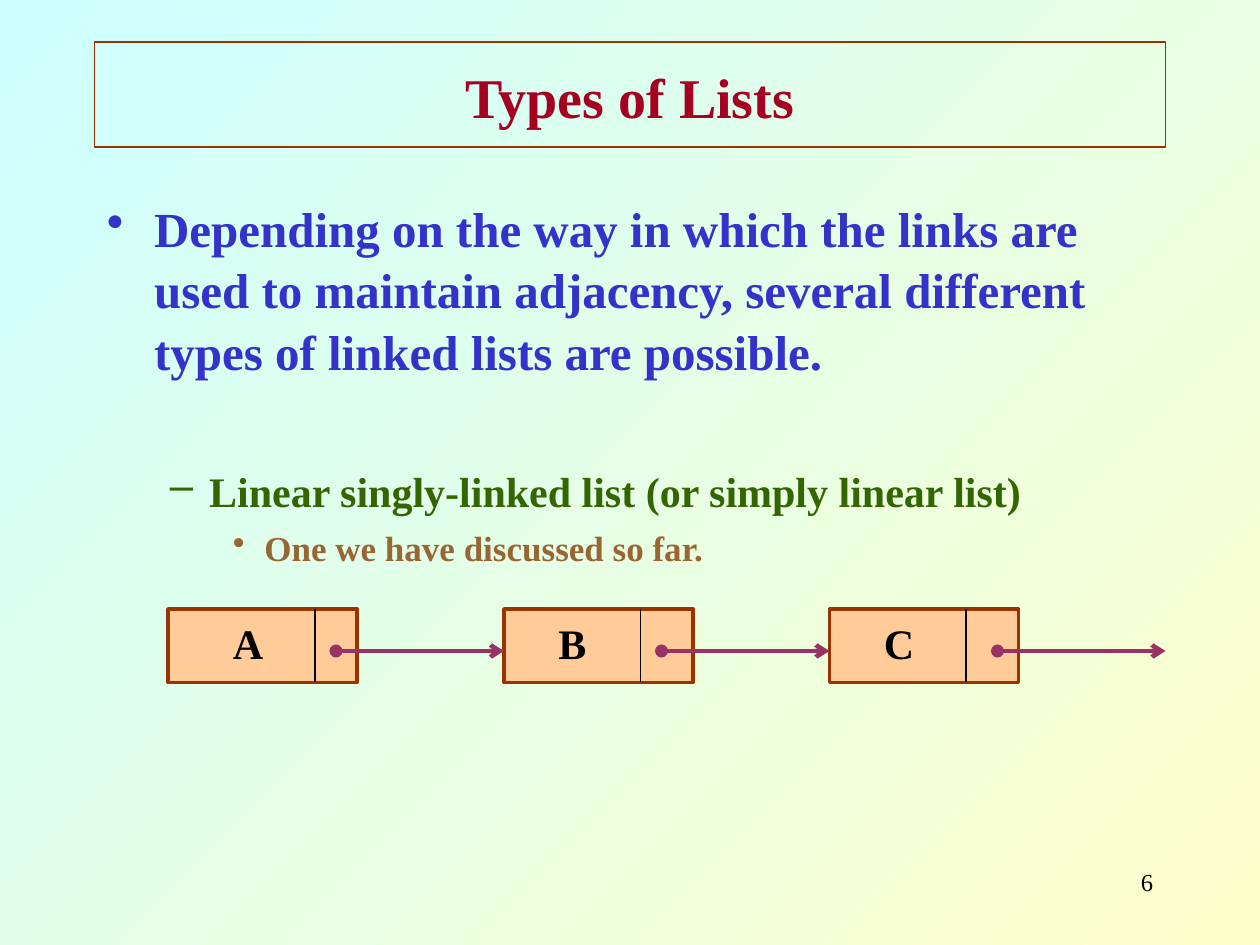
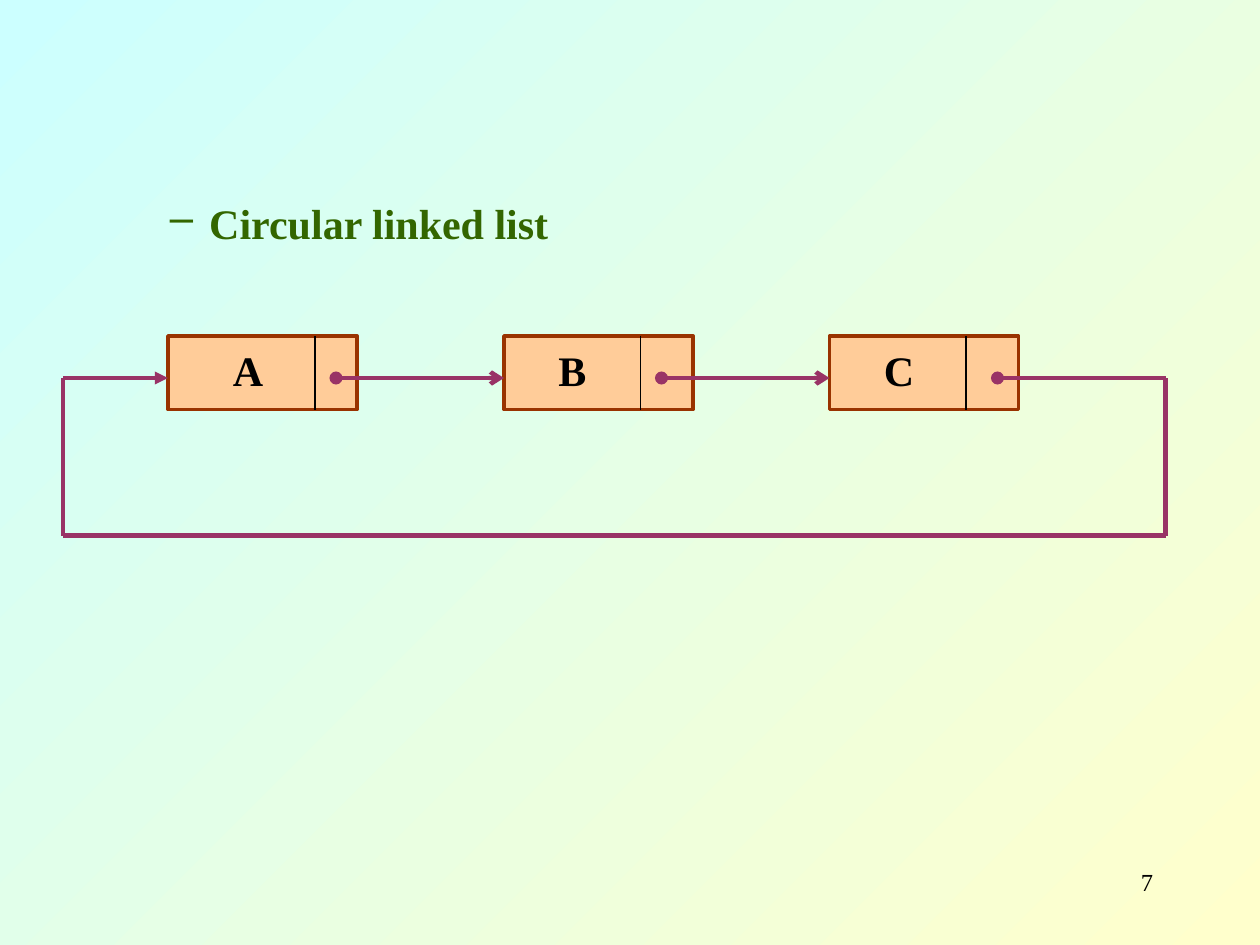
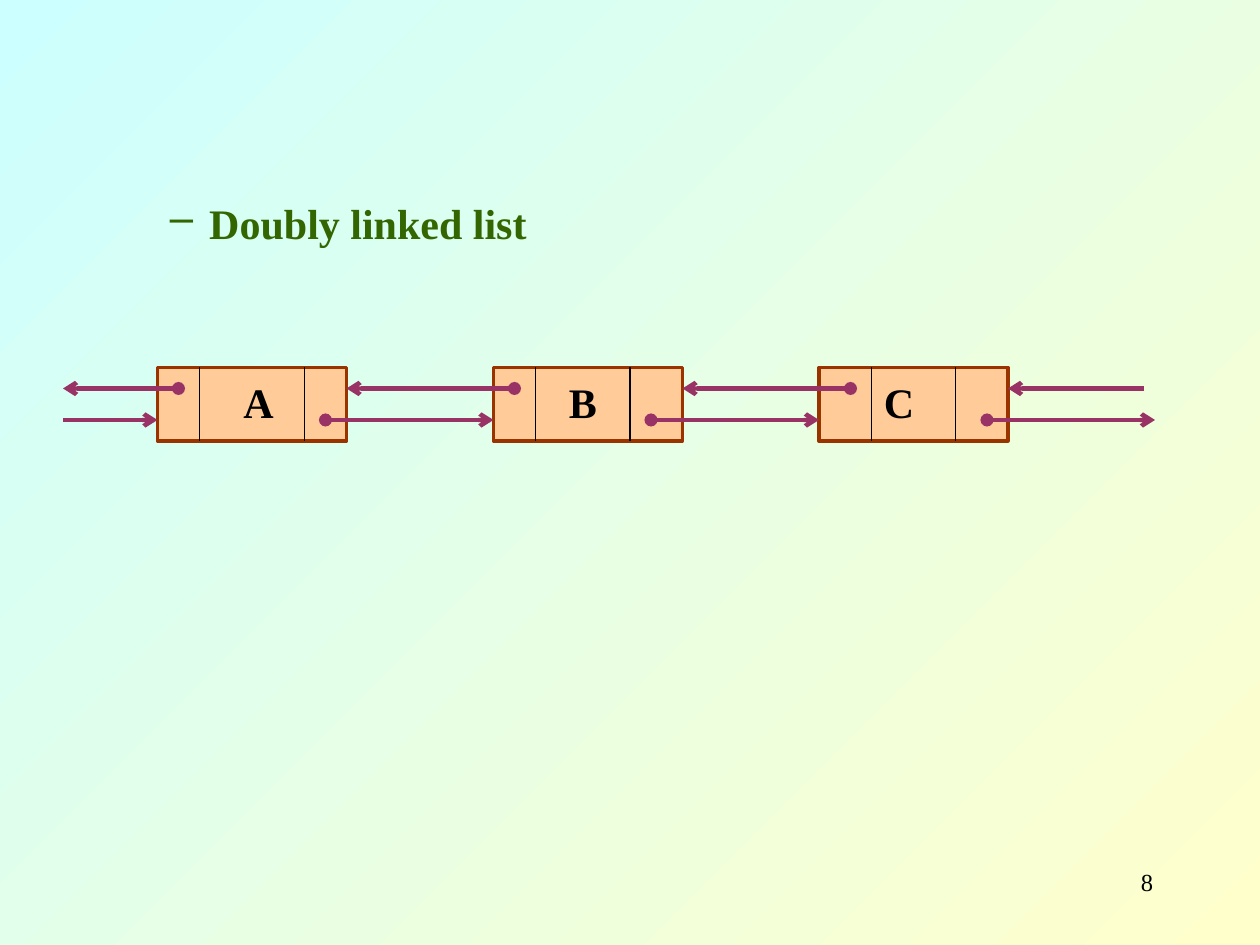
from lxml import etree
from pptx import Presentation
from pptx.dml.color import RGBColor
from pptx.enum.shapes import MSO_CONNECTOR, MSO_SHAPE
from pptx.enum.text import MSO_ANCHOR, PP_ALIGN
from pptx.oxml.ns import qn
from pptx.util import Pt

STRAIGHT = MSO_CONNECTOR.STRAIGHT
RECTANGLE = MSO_SHAPE.RECTANGLE
TOP, MIDDLE = MSO_ANCHOR.TOP, MSO_ANCHOR.MIDDLE
LEFT, CENTER, RIGHT = PP_ALIGN.LEFT, PP_ALIGN.CENTER, PP_ALIGN.RIGHT

CREAM = RGBColor(0xFF, 0xFF, 0xCC)
AQUA = RGBColor(0xCC, 0xFF, 0xFF)
CRIMSON = RGBColor(0xA5, 0x00, 0x21)
BLUE = RGBColor(0x33, 0x33, 0xCC)
GREEN = RGBColor(0x33, 0x66, 0x00)
BROWN = RGBColor(0x99, 0x66, 0x33)
RUST = RGBColor(0x99, 0x33, 0x00)
PEACH = RGBColor(0xFF, 0xCC, 0x99)
PLUM = RGBColor(0x99, 0x33, 0x66)
BLACK = RGBColor(0x00, 0x00, 0x00)

FONT = "Times New Roman"
LINE_SPACING = 1.05
LEVELS = [
    ("•", 28, BLUE, 27, -27),
    ("–", 24, GREEN, 58.5, -22.5),
    ("•", 20, BROWN, 90, -18),
]
NODE_WIDTH, NODE_HEIGHT = 108, 42
POINTER_LENGTH = 96
LEFT_END, RIGHT_END = 36, 666


class ListDeck:
    def __init__(self):
        self.prs = Presentation()
        self.prs.slide_width, self.prs.slide_height = Pt(720), Pt(540)
        self.slide = None

    def new_slide(self, number):
        self.slide = self.prs.slides.add_slide(self.prs.slide_layouts[6])
        fill = self.slide.background.fill
        fill.gradient()
        fill.gradient_angle = 135
        for stop, color in zip(fill.gradient_stops, (CREAM, AQUA)):
            stop.color.rgb = color
        self.text(str(number), (516, 492, 150, 36), 14, BLACK, RIGHT, bold=False)

    def frame(self, box, anchor=TOP):
        holder = self.slide.shapes.add_textbox(*map(Pt, box))
        holder.text_frame.word_wrap = True
        holder.text_frame.vertical_anchor = anchor
        return holder

    def style(self, paragraph, size, color, bold=True):
        font = paragraph.font
        font.name, font.size, font.bold = FONT, Pt(size), bold
        font.color.rgb = color

    def text(self, words, box, size, color, align=LEFT, anchor=TOP, bold=True):
        holder = self.frame(box, anchor)
        paragraph = holder.text_frame.paragraphs[0]
        paragraph.text = words
        paragraph.alignment = align
        paragraph.line_spacing = LINE_SPACING if bold else 1.0
        self.style(paragraph, size, color, bold)
        return holder

    def title(self, words):
        heading = self.text(words, (54, 24, 612, 60), 32, CRIMSON, CENTER, MIDDLE)
        heading.line.color.rgb = RUST
        heading.line.width = Pt(0.75)

    def outline(self, items):
        body = self.frame((54, 108, 612, 372)).text_frame
        for index, (level, words, space_before) in enumerate(items):
            bullet, size, color, margin, indent = LEVELS[level]
            paragraph = body.add_paragraph() if index else body.paragraphs[0]
            paragraph.text = words
            paragraph.level = level
            paragraph.line_spacing = LINE_SPACING
            if index:
                paragraph.space_before = Pt(space_before)
            props = paragraph._p.get_or_add_pPr()
            props.set("marL", str(Pt(margin)))
            props.set("indent", str(Pt(indent)))
            bullet_color = etree.SubElement(props, qn("a:buClr"))
            etree.SubElement(bullet_color, qn("a:srgbClr"), val=str(color))
            etree.SubElement(props, qn("a:buChar"), char=bullet)
            self.style(paragraph, size, color)

    def line(self, start, end, color=PLUM, width=2.5, head=None, tail=None):
        connector = self.slide.shapes.add_connector(STRAIGHT, *map(Pt, (*start, *end)))
        connector.line.color.rgb = color
        connector.line.width = Pt(width)
        stroke = connector.line._get_or_add_ln()
        for tag, kind in (("a:headEnd", head), ("a:tailEnd", tail)):
            if kind:
                etree.SubElement(stroke, qn(tag), type=kind)
        etree.SubElement(connector._element.spPr, qn("a:effectLst"))

    def pointer(self, x, y, length=POINTER_LENGTH, tail="arrow"):
        self.line((x, y), (x + length, y), head="oval", tail=tail)

    def node(self, x, y, name, name_x, dividers):
        box = self.slide.shapes.add_shape(
            RECTANGLE, *map(Pt, (x, y, NODE_WIDTH, NODE_HEIGHT)))
        box.shadow.inherit = False
        box.fill.solid()
        box.fill.fore_color.rgb = PEACH
        box.line.color.rgb = RUST
        box.line.width = Pt(2)
        for divider in dividers:
            self.line((divider, y), (divider, y + NODE_HEIGHT), BLACK, 0.75)
        self.text(name, (name_x, y, 48, 36), 24, BLACK)

    def single_nodes(self, y, last_tail):
        nodes = [("A", 96, 180, 192), ("B", 288, 366, 378), ("C", 474, 552, 570)]
        for name, x, divider, _ in nodes:
            self.node(x, y, name, divider - 54, [divider])
        for name, _, _, start in nodes:
            self.pointer(start, y + 24, tail=last_tail if name == "C" else "arrow")

    def double_nodes(self, y):
        nodes = [
            ("A", 90, 132, (114, 174), 186, 102, 36),
            ("B", 282, 318, (306, 360), 372, 294, 198),
            ("C", 468, 498, (498, 546), 564, 486, 390),
        ]
        forward, backward = y + 30, y + 12
        for name, x, name_x, dividers, *_ in nodes:
            self.node(x, y, name, name_x, dividers)
        for *_, next_x, previous_x, previous_end in nodes:
            self.pointer(next_x, forward)
            self.pointer(previous_x, backward, previous_end - previous_x)
        self.line((LEFT_END, forward), (90, forward), tail="arrow")
        self.line((654, backward), (576, backward), tail="arrow")


def main():
    deck = ListDeck()

    deck.new_slide(6)
    deck.title("Types of Lists")
    deck.outline([
        (0, "Depending on the way in which the links are used to maintain "
            "adjacency, several different types of linked lists are possible.", 0),
        (1, "Linear singly-linked list (or simply linear list)", 47),
        (2, "One we have discussed so far.", 5),
    ])
    deck.single_nodes(348, "arrow")

    deck.new_slide(7)
    deck.outline([(1, "Circular linked list", 0)])
    deck.single_nodes(192, None)
    loop = [(RIGHT_END, 216), (RIGHT_END, 306), (LEFT_END, 306), (LEFT_END, 216)]
    for start, end in zip(loop, loop[1:]):
        deck.line(start, end)
    deck.line(loop[-1], (96, 216), tail="triangle")

    deck.new_slide(8)
    deck.outline([(1, "Doubly linked list", 0)])
    deck.double_nodes(210)

    deck.prs.save("out.pptx")


if __name__ == "__main__":
    main()
